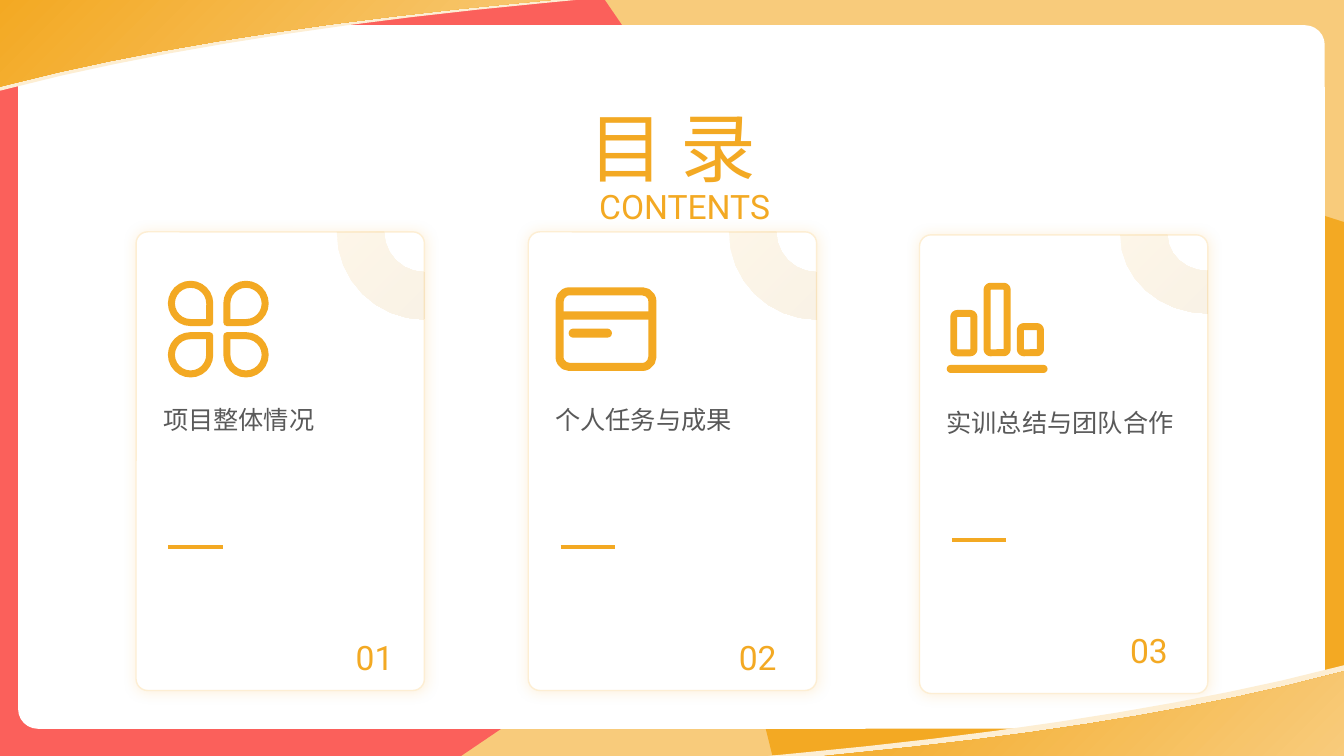
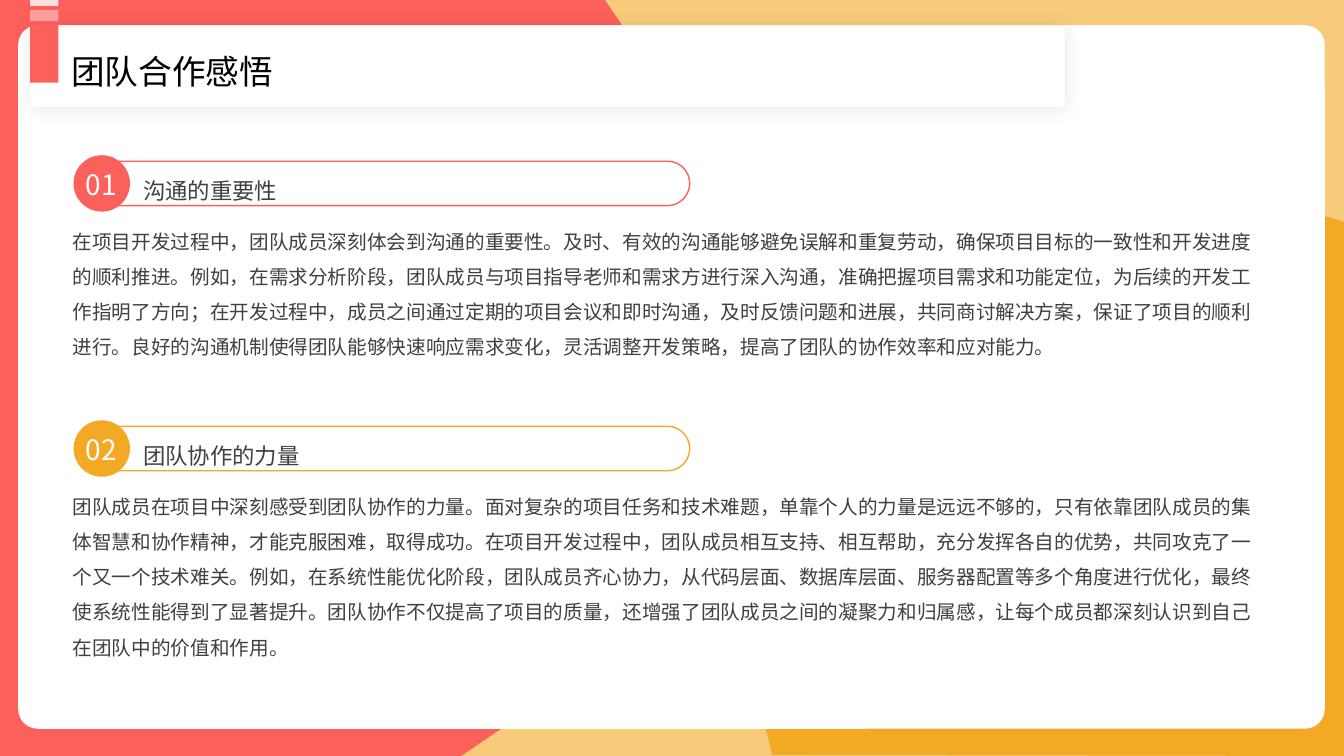
import math

import lxml.etree
import pptx
import pptx.dml.color
import pptx.enum.lang
import pptx.enum.shapes
import pptx.enum.text
import pptx.oxml.ns
import pptx.util

Inches = pptx.util.Inches
Pt = pptx.util.Pt
RGBColor = pptx.dml.color.RGBColor
SHAPE = pptx.enum.shapes.MSO_SHAPE
ALIGN = pptx.enum.text.PP_ALIGN
ANCHOR = pptx.enum.text.MSO_ANCHOR
qualified = pptx.oxml.ns.qn

GOLD = RGBColor(0xF3, 0xA9, 0x23)
BROWN = RGBColor(0xC6, 0x83, 0x0B)
SAND = RGBColor(0xF8, 0xCB, 0x7B)
CREAM = RGBColor(0xFD, 0xEE, 0xD3)
CORAL = RGBColor(0xFB, 0x60, 0x5B)
CORAL_MID = RGBColor(0xFD, 0xA0, 0x9D)
CORAL_PALE = RGBColor(0xFE, 0xDF, 0xDE)
WHITE = RGBColor(0xFF, 0xFF, 0xFF)
BLACK = RGBColor(0, 0, 0)
CAPTION_GRAY = RGBColor(0x59, 0x59, 0x59)
BODY_GRAY = RGBColor(0x40, 0x40, 0x40)

ROBOTO = "Roboto"
NOTO = "Noto Sans CJK SC"
WIDTH, HEIGHT = 13.33, 7.5
ICON_LINE = 5

CARDS = [
    (1.35, 2.3, 0.87, 5.43, 3.26, 6.23, "01", "项目整体情况"),
    (5.24, 2.3, 0.87, 5.43, 7.06, 6.23, "02", "个人任务与成果"),
    (9.12, 2.33, 0.78, 5.36, 10.94, 6.16, "03", "实训总结与团队合作"),
]

SECTIONS = [
    (1.54, CORAL, "01", "沟通的重要性",
     "在项目开发过程中，团队成员深刻体会到沟通的重要性。及时、有效的沟通能够避免误解和重复劳动，"
     "确保项目目标的一致性和开发进度的顺利推进。例如，在需求分析阶段，团队成员与项目指导老师和需求方"
     "进行深入沟通，准确把握项目需求和功能定位，为后续的开发工作指明了方向；在开发过程中，成员之间通过"
     "定期的项目会议和即时沟通，及时反馈问题和进展，共同商讨解决方案，保证了项目的顺利进行。良好的沟通"
     "机制使得团队能够快速响应需求变化，灵活调整开发策略，提高了团队的协作效率和应对能力。"),
    (4.17, GOLD, "02", "团队协作的力量",
     "团队成员在项目中深刻感受到团队协作的力量。面对复杂的项目任务和技术难题，单靠个人的力量是远远不够的，"
     "只有依靠团队成员的集体智慧和协作精神，才能克服困难，取得成功。在项目开发过程中，团队成员相互支持、"
     "相互帮助，充分发挥各自的优势，共同攻克了一个又一个技术难关。例如，在系统性能优化阶段，团队成员齐心"
     "协力，从代码层面、数据库层面、服务器配置等多个角度进行优化，最终使系统性能得到了显著提升。团队协作"
     "不仅提高了项目的质量，还增强了团队成员之间的凝聚力和归属感，让每个成员都深刻认识到自己在团队中的"
     "价值和作用。"),
]


def arc(center_x, center_y, radius_x, radius_y, start, end, steps):
    angles = [math.radians(start + (end - start) * step / steps) for step in range(steps + 1)]
    return [(center_x + radius_x * math.cos(angle), center_y + radius_y * math.sin(angle))
            for angle in angles]


def bezier(*controls, steps=8):
    points = []
    for step in range(steps + 1):
        t = step / steps
        weights = ((1 - t) ** 3, 3 * t * (1 - t) ** 2, 3 * t * t * (1 - t), t ** 3)
        points.append(tuple(sum(weight * control[axis] for weight, control in zip(weights, controls))
                            for axis in (0, 1)))
    return points


def paint(shape, fill=None, line=None, line_width=1):
    shape.shadow.inherit = False
    if fill is None:
        shape.fill.background()
    else:
        shape.fill.solid()
        shape.fill.fore_color.rgb = fill
    if line is None:
        shape.line.fill.background()
    else:
        shape.line.color.rgb = line
        shape.line.width = Pt(line_width)


def add_alpha(color_element, percent):
    lxml.etree.SubElement(color_element, qualified("a:alpha"), val=str(percent * 1000))


def paint_gradient(shape, first, last, alpha=None):
    shape.fill.gradient()
    shape.fill.gradient_angle = 315
    for stop, color in zip(shape.fill.gradient_stops, (first, last)):
        stop.color.rgb = color
    if alpha is not None:
        for color_element in shape._element.spPr.iter(qualified("a:srgbClr")):
            add_alpha(color_element, alpha)


def add_glow_shadow(shape, color, alpha, blur):
    effects = shape._element.spPr.find(qualified("a:effectLst"))
    shadow = lxml.etree.SubElement(effects, qualified("a:outerShdw"), blurRad=str(Pt(blur)),
                                   dist="0", dir="0", algn="ctr", rotWithShape="0")
    add_alpha(lxml.etree.SubElement(shadow, qualified("a:srgbClr"), val=str(color)), alpha)


def add_preset(slide, kind, left, top, width, height, fill=None, line=None, corner=None,
               line_width=1):
    shape = slide.shapes.add_shape(kind, Inches(left), Inches(top), Inches(width), Inches(height))
    if corner is not None:
        shape.adjustments[0] = corner
    paint(shape, fill, line, line_width)
    return shape


def add_outline(slide, points, fill=None):
    start, *rest = [(Inches(x), Inches(y)) for x, y in points]
    builder = slide.shapes.build_freeform(*start)
    builder.add_line_segments(rest, close=True)
    shape = builder.convert_to_shape()
    paint(shape, fill)
    return shape


def add_text(slide, left, top, width, height, text, size, color, font_name, spacing=None,
             align=ALIGN.LEFT, anchor=ANCHOR.TOP, inset=True, wrap=True):
    box = slide.shapes.add_textbox(Inches(left), Inches(top), Inches(width), Inches(height))
    frame = box.text_frame
    frame.word_wrap = wrap
    frame.vertical_anchor = anchor
    if not inset:
        frame.margin_left = frame.margin_top = frame.margin_right = frame.margin_bottom = 0
    paragraph = frame.paragraphs[0]
    paragraph.text = text
    paragraph.alignment = align
    if spacing:
        paragraph.line_spacing = spacing
    paragraph.font.size = Pt(size)
    paragraph.font.name = font_name
    paragraph.font.color.rgb = color
    paragraph.font.language_id = pptx.enum.lang.MSO_LANGUAGE_ID.SIMPLIFIED_CHINESE


def add_background(slide):
    add_preset(slide, SHAPE.RECTANGLE, 0, 0, WIDTH, HEIGHT, SAND)
    add_outline(slide, arc(11.79, 6.23, 4.32, 4.31, 163, 291, 20) + [(WIDTH, HEIGHT)], GOLD)
    add_outline(slide, [(0, 0)] + arc(1.92, 3.11, 5.13, 5.13, -37.4, 58.9, 16) + [(0, HEIGHT)], CORAL)
    add_preset(slide, SHAPE.ROUNDED_RECTANGLE, 0.18, 0.25, 12.96, 6.98, WHITE, corner=0.028)


def add_swoosh(slide, width, height, at_bottom, color=None):
    curve = bezier((5.4, 0.03), (3.59, 0.2), (1.97, 0.44), (0.61, 0.75))
    points = [(x * width / 5.71, y * height / 0.9)
              for x, y in [(0, 0), (5.71, 0)] + curve + [(0, 0.9)]]
    if at_bottom:
        points = [(WIDTH - x, HEIGHT - y) for x, y in points]
    shape = add_outline(slide, points, color)
    if color is None:
        paint_gradient(shape, GOLD, SAND)


def add_clover_icon(slide):
    for left, top, rotation in ((1.7, 2.82, 90), (2.25, 2.82, 180), (1.7, 3.33, 0), (2.25, 3.33, 270)):
        petal = add_preset(slide, SHAPE.TEAR, left, top, 0.38, 0.38, line=GOLD, line_width=ICON_LINE)
        petal.rotation = rotation


def add_panel_icon(slide):
    add_preset(slide, SHAPE.ROUNDED_RECTANGLE, 5.55, 2.89, 0.92, 0.75, line=GOLD, corner=0.13,
               line_width=5.75)
    add_preset(slide, SHAPE.RECTANGLE, 5.55, 3.09, 0.92, 0.08, GOLD)
    add_preset(slide, SHAPE.ROUNDED_RECTANGLE, 5.64, 3.26, 0.43, 0.09, GOLD, corner=0.5)


def add_bars_icon(slide):
    for index, top in enumerate((3.11, 2.84, 3.24)):
        add_preset(slide, SHAPE.ROUNDED_RECTANGLE, 9.46 + 0.33 * index, top, 0.2, 3.5 - top,
                   line=GOLD, corner=0.17, line_width=ICON_LINE)
    add_preset(slide, SHAPE.ROUNDED_RECTANGLE, 9.39, 3.62, 1, 0.08, GOLD, corner=0.5)


def add_card(slide, left, top, ring_height, rule_top, number_left, number_top, number, caption):
    card = add_preset(slide, SHAPE.ROUNDED_RECTANGLE, left, top, 2.86, 4.55, WHITE, CREAM, 0.04)
    add_glow_shadow(card, GOLD, 16, 10)
    rule = slide.shapes.add_connector(
        pptx.enum.shapes.MSO_CONNECTOR.STRAIGHT, Inches(left + 0.32), Inches(rule_top),
        Inches(left + 0.86), Inches(rule_top))
    rule.line.color.rgb = GOLD
    rule.line.width = Pt(2.75)
    lxml.etree.SubElement(rule._element.spPr, qualified("a:effectLst"))
    right = left + 2.86
    ring = add_outline(slide, arc(right, top, 0.87, ring_height, 180, 90, 8)
                       + arc(right, top, 0.4, ring_height * 0.46, 90, 180, 6))
    paint_gradient(ring, GOLD, BROWN, 10)
    add_text(slide, number_left, number_top, 0.91, 0.67, number, 24, GOLD, ROBOTO, 1.1, ALIGN.CENTER)
    add_text(slide, left + 0.17, top + 1.6, 2.56, 1.28, caption, 18, CAPTION_GRAY, ROBOTO, 1.2)


def add_section(slide, top, color, number, heading, body):
    add_preset(slide, SHAPE.ROUNDED_RECTANGLE, 0.79, top + 0.06, 6.05, 0.44, line=color, corner=0.5)
    add_preset(slide, SHAPE.OVAL, 0.73, top, 0.56, 0.56, color)
    add_text(slide, 0.72, top + 0.62, 11.88, 1.7, body, 14, BODY_GRAY, NOTO, 1.5, inset=False)
    add_text(slide, 0.78, top + 0.1, 0.45, 0.37, number, 20, WHITE, NOTO,
             align=ALIGN.CENTER, anchor=ANCHOR.MIDDLE, inset=False)
    add_text(slide, 1.42, top + 0.12, 5.2, 0.32, heading, 16, BODY_GRAY, NOTO, 1.5,
             anchor=ANCHOR.MIDDLE, inset=False)


def add_title_banner(slide, title):
    banner = add_preset(slide, SHAPE.RECTANGLE, 0.3, 0.27, 10.26, 0.79, WHITE)
    add_glow_shadow(banner, BLACK, 10, 13)
    add_text(slide, 0.61, 0.42, 8.82, 0.5, title, 24, BLACK, NOTO, 1.1)
    for top, height, color in ((0.25, 0.57, CORAL), (0.1, 0.11, CORAL_MID), (0, 0.06, CORAL_PALE)):
        add_preset(slide, SHAPE.RECTANGLE, 0.3, top, 0.28, height, color)


def build_contents(slide):
    add_background(slide)
    add_text(slide, 5.69, 1.8, 2.2, 0.43, "CONTENTS", 24, GOLD, ROBOTO, align=ALIGN.CENTER, wrap=False)
    for card in CARDS:
        add_card(slide, *card)
    add_clover_icon(slide)
    add_panel_icon(slide)
    add_bars_icon(slide)
    add_text(slide, 5.7, 0.95, 1.94, 1.01, "目 录", 54, GOLD, ROBOTO, align=ALIGN.CENTER)
    for at_bottom, width, height in ((True, 5.15, 0.84), (False, 5.46, 0.86)):
        add_swoosh(slide, 5.71, 0.9, at_bottom, CREAM)
        add_swoosh(slide, width, height, at_bottom)


def build_teamwork(slide):
    add_background(slide)
    for section in SECTIONS:
        add_section(slide, *section)
    add_title_banner(slide, "团队合作感悟")


def main():
    presentation = pptx.Presentation()
    presentation.slide_width = Inches(WIDTH)
    presentation.slide_height = Inches(HEIGHT)
    for build in (build_contents, build_teamwork):
        build(presentation.slides.add_slide(presentation.slide_layouts[6]))
    presentation.save("out.pptx")


if __name__ == "__main__":
    main()
